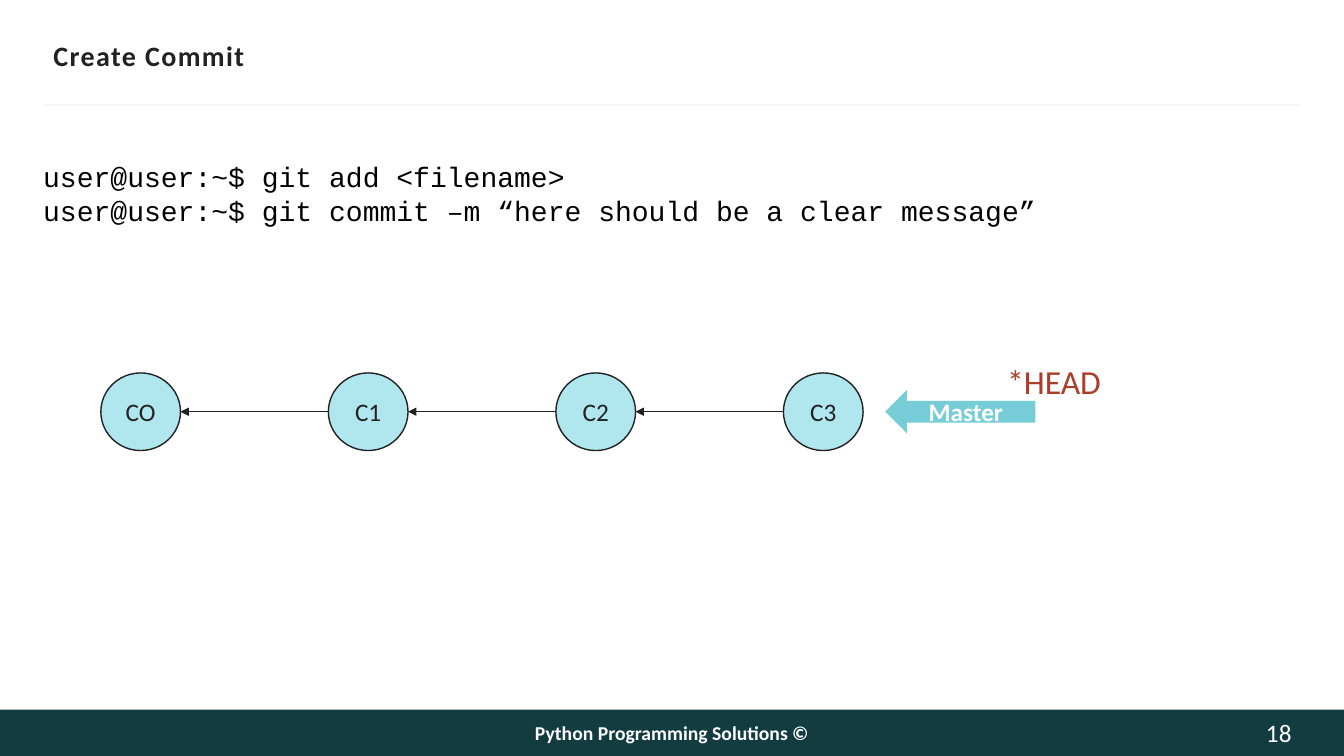
from lxml import etree
from pptx import Presentation
from pptx.dml.color import RGBColor
from pptx.enum.shapes import MSO_CONNECTOR as Connector, MSO_SHAPE as Shape
from pptx.enum.text import MSO_ANCHOR as Anchor, PP_ALIGN as Align
from pptx.oxml.ns import qn
from pptx.util import Inches, Pt

INK, WHITE, NEAR_WHITE = "222222", "FFFFFF", "FEFEFE"
PETROL, AQUA, TEAL, RED, PALE = "133C41", "B0E7EF", "76CDD8", "AB3D29", "F5F5F5"


def rgb(hex_colour):
    return RGBColor.from_string(hex_colour)


def write(shape, lines, size, colour, font="Calibri", bold=False,
          align=Align.LEFT, anchor=Anchor.MIDDLE, inset=(0, 0), spacing=None):
    """Fill a shape with one run per line."""
    frame = shape.text_frame
    frame.word_wrap = True
    frame.vertical_anchor = anchor
    frame.margin_left = frame.margin_right = Inches(inset[0])
    frame.margin_top = frame.margin_bottom = Inches(inset[1])
    for i, line in enumerate(lines):
        paragraph = frame.add_paragraph() if i else frame.paragraphs[0]
        paragraph.alignment = align
        if spacing:
            paragraph.line_spacing = spacing
        run = paragraph.add_run()
        run.text = line
        run.font.size, run.font.name, run.font.bold = Pt(size), font, bold
        run.font.color.rgb = rgb(colour)


def add_text(slide, box, lines, size, colour, **style):
    write(slide.shapes.add_textbox(*map(Inches, box)), lines, size, colour, **style)


def add_block(slide, kind, box, fill, outline=None):
    block = slide.shapes.add_shape(kind, *map(Inches, box))
    block.shadow.inherit = False
    block.fill.solid()
    block.fill.fore_color.rgb = rgb(fill)
    if outline:
        block.line.color.rgb = rgb(outline)
        block.line.width = Pt(1)
    else:
        block.line.fill.background()
    return block


def add_line(slide, start, end, colour, width, arrow=False):
    line = slide.shapes.add_connector(Connector.STRAIGHT, *map(Inches, start + end))
    line.line.color.rgb = rgb(colour)
    line.line.width = Pt(width)
    if arrow:
        etree.SubElement(line.line._get_or_add_ln(), qn("a:headEnd"), type="triangle")
    etree.SubElement(line._element.spPr, qn("a:effectLst"))


def add_header(slide, box):
    left, top, width, height = box
    # Title
    title = slide.shapes.title
    title.left, title.top = Inches(left + 0.1), Inches(top)
    title.width, title.height = Inches(width - 0.18), Inches(height)
    write(title, ["Create Commit"], 20, INK, bold=True, inset=(0, 0.05))
    title.text_frame.paragraphs[0].runs[0].font._element.set("spc", "100")
    # Rule under the title
    rule_y = top + height + 0.27
    add_line(slide, (left, rule_y), (left + width, rule_y), PALE, 1.5)


def add_commands(slide, box):
    add_text(slide, box,
             ["user@user:~$ git add <filename>",
              "user@user:~$ git commit –m “here should be a clear message”"],
             20, "000000", font="Courier New", anchor=Anchor.TOP,
             inset=(0.1, 0.05), spacing=Pt(24.4))


def add_history(slide, box, commits):
    left, top, width, height = box
    node_width = 0.79
    step = (width - node_width) / (len(commits) - 1)
    middle = top + height / 2
    # Commits, each pointed at by its successor
    for i, commit in enumerate(commits):
        x = left + i * step
        node = add_block(slide, Shape.OVAL, (x, top, node_width, height), AQUA, INK)
        write(node, [commit], 18, INK, align=Align.CENTER)
        if i < len(commits) - 1:
            add_line(slide, (x + node_width, middle), (x + step, middle), INK, 1, arrow=True)
    # Branch pointer and HEAD label
    branch_x = left + width + 0.22
    add_text(slide, (branch_x + 1.11, top - 0.17, 1.15, 0.5), ["*HEAD"], 24, RED,
             anchor=Anchor.TOP, inset=(0.1, 0.05))
    branch = add_block(slide, Shape.LEFT_ARROW, (branch_x, middle - 0.215, 1.49, 0.43), TEAL)
    write(branch, ["Master"], 18, NEAR_WHITE, bold=True, align=Align.CENTER)


def add_footer(slide, box):
    left, top, width, height = box
    add_block(slide, Shape.RECTANGLE, box, PETROL)
    add_text(slide, (left + 3.5, top, width - 7, height),
             ["Python Programming Solutions ©"], 14, WHITE, bold=True,
             align=Align.CENTER, inset=(0.1, 0.05))
    add_text(slide, (left + width - 1.18, top, 0.66, height), ["18"], 18, NEAR_WHITE,
             align=Align.RIGHT)


def main():
    deck = Presentation()
    deck.slide_width, deck.slide_height = Inches(13.33), Inches(7.5)
    slide = deck.slides.add_slide(deck.slide_layouts[5])
    add_header(slide, (0.43, 0.33, 12.47, 0.44))
    add_commands(slide, (0.33, 1.53, 10.13, 1.11))
    add_history(slide, (1, 3.7, 7.56, 0.77), ["CO", "C1", "C2", "C3"])
    add_footer(slide, (0, 7.04, 13.33, 0.46))
    deck.save("out.pptx")


if __name__ == "__main__":
    main()
